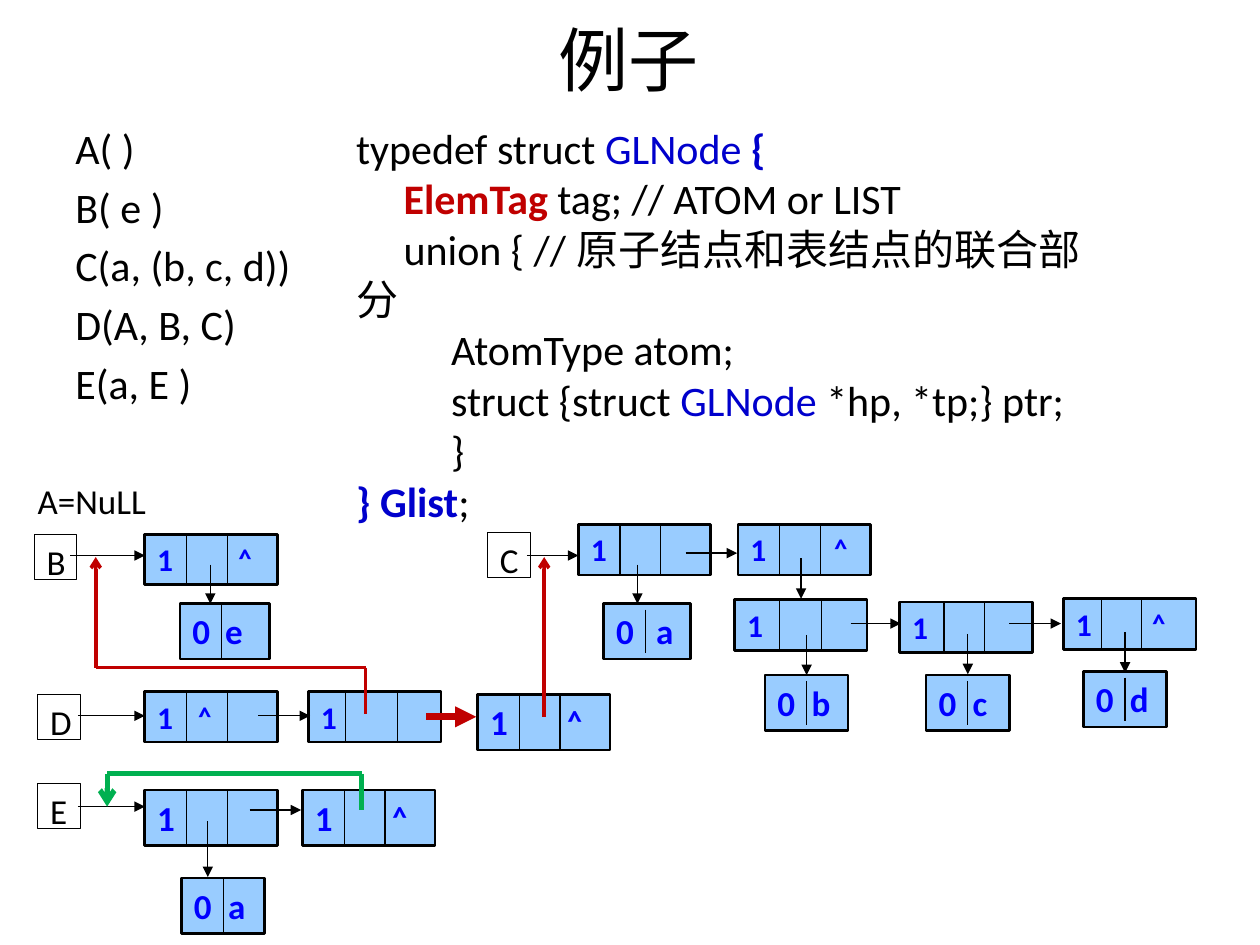
from itertools import pairwise

from lxml import etree
from pptx import Presentation
from pptx.dml.color import RGBColor
from pptx.enum.shapes import MSO_CONNECTOR, MSO_SHAPE
from pptx.enum.text import MSO_ANCHOR, PP_ALIGN
from pptx.oxml.ns import qn
from pptx.util import Cm, Pt

RECTANGLE = MSO_SHAPE.RECTANGLE
STRAIGHT = MSO_CONNECTOR.STRAIGHT
LEFT, CENTER = PP_ALIGN.LEFT, PP_ALIGN.CENTER
TOP, MIDDLE = MSO_ANCHOR.TOP, MSO_ANCHOR.MIDDLE

FONT = "Calibri"
BLACK, BLUE, CODE_BLUE = "000000", "0000FF", "0000CC"
RED, GREEN, NODE_FILL = "C00000", "00B050", "99CCFF"

NODE_WIDTH = 2.67
NODE_HEIGHTS = {18: 1.02, 20: 1.12}
ATOM_HEIGHT = 1.12
DIVIDERS = (0.84, 1.66)

LISTS = ["A( )", "B( e )", "C(a, (b, c, d))", "D(A, B, C)", "E(a, E )"]
CODE = [
    [("typedef struct ", BLACK, False), ("GLNode ", CODE_BLUE, False), ("{", CODE_BLUE, True)],
    [("     ", BLACK, False), ("ElemTag", RED, True), (" tag; // ATOM or LIST", BLACK, False)],
    [("     union { //原子结点和表结点的联合部分", BLACK, False)],
    [("          AtomType atom;", BLACK, False)],
    [("          struct {struct ", BLACK, False), ("GLNode", CODE_BLUE, False),
     (" *hp, *tp;} ptr;", BLACK, False)],
    [("          }", BLACK, False)],
    [("} Glist", CODE_BLUE, True), (";", BLACK, False)],
]

# left, top, text size, tab of the null mark, dividers
NODES = [
    (2.92, 10.77, 18, 1.6, DIVIDERS),
    (2.92, 15.93, 20, None, DIVIDERS),
    (6.1, 15.93, 20, 1.52, DIVIDERS),
    (2.92, 13.94, 18, 0.79, DIVIDERS),
    (6.22, 13.94, 18, None, (0.74, 1.8)),
    (9.63, 14, 20, 1.52, DIVIDERS),
    (11.66, 10.57, 18, None, DIVIDERS),
    (14.88, 10.57, 18, 1.65, DIVIDERS),
    (14.81, 12.09, 18, None, (0.91, 1.75)),
    (18.14, 12.14, 18, None, (0.89, 1.7)),
    (21.44, 12.07, 18, 1.5, (0.76, 1.57)),
]
# letter, left, top, width, tab of the letter, divider margin
ATOMS = [
    ("e", 3.63, 12.17, 1.8, 0.66, 0),
    ("a", 3.66, 17.7, 1.68, 0.69, 0),
    ("a", 12.17, 12.17, 1.75, 0.81, 0.12),
    ("b", 15.42, 13.61, 1.68, 0.69, 0.12),
    ("c", 18.67, 13.61, 1.68, 0.69, 0.12),
    ("d", 21.84, 13.54, 1.68, 0.69, 0.12),
]
LABELS = [("B", 0.69, 10.77), ("C", 9.83, 10.74), ("D", 0.76, 14), ("E", 0.76, 15.8)]
# start x, end x, y
ACROSS = [
    (1.42, 2.92, 11.2), (10.62, 11.66, 11.2), (1.57, 2.92, 14.43),
    (1.57, 2.92, 16.26), (5.03, 6.07, 16.33), (5.21, 6.25, 14.43),
    (13.82, 14.86, 11.15), (17.15, 18.16, 12.57), (20.35, 21.39, 12.57),
]
# x, start y, end y
DOWN = [
    (4.24, 11.38, 12.17), (4.19, 16.56, 17.68), (12.85, 11.38, 12.17),
    (16.15, 11.25, 12.07), (16.26, 12.8, 13.61), (19.51, 12.78, 13.59),
    (22.68, 12.75, 13.56),
]
# colour, line width, points from the arrowhead on
ROUTES = [
    (GREEN, 3, [(2.16, 16.26), (2.16, 15.6), (7.29, 15.6), (7.29, 16.33)]),
    (RED, 2, [(1.93, 11.23), (1.93, 13.46), (7.37, 13.46), (7.37, 14.4)]),
    (RED, 2, [(10.97, 11.23), (10.97, 14.45)]),
]


def rgb(value):
    """Turn a hex string into a colour."""
    return RGBColor.from_string(value)


def add_run(paragraph, text, size, color=BLACK, bold=False):
    """Append one formatted run."""
    run = paragraph.add_run()
    run.text = text
    run.font.name, run.font.size, run.font.bold = FONT, Pt(size), bold
    run.font.color.rgb = rgb(color)


def add_tab(paragraph, position):
    """Give a paragraph a left tab stop."""
    tabs = etree.SubElement(paragraph._p.get_or_add_pPr(), qn("a:tabLst"))
    etree.SubElement(tabs, qn("a:tab"), pos=str(Cm(position)), algn="l")


def add_text(slide, box, lines, size, align=LEFT, anchor=TOP, space=0):
    """Add a text box whose lines are lists of (text, colour, bold) runs."""
    frame = slide.shapes.add_textbox(*map(Cm, box)).text_frame
    frame.word_wrap, frame.vertical_anchor = True, anchor
    for index, line in enumerate(lines):
        paragraph = frame.add_paragraph() if index else frame.paragraphs[0]
        paragraph.alignment = align
        paragraph.space_before = Pt(space if index else 0)
        for text, color, bold in line:
            add_run(paragraph, text, size, color, bold)


def add_box(slide, box, text, size, color=BLUE, fill=NODE_FILL, width=1.5, tab=None):
    """Add an outlined rectangle with text at its top left."""
    shape = slide.shapes.add_shape(RECTANGLE, *map(Cm, box))
    shape.shadow.inherit = False
    if fill:
        shape.fill.solid()
        shape.fill.fore_color.rgb = rgb(fill)
    else:
        shape.fill.background()
    shape.line.color.rgb, shape.line.width = rgb(BLACK), Pt(width)
    frame = shape.text_frame
    frame.word_wrap, frame.vertical_anchor = True, TOP
    paragraph = frame.paragraphs[0]
    paragraph.alignment = LEFT
    if tab:
        add_tab(paragraph, tab)
    add_run(paragraph, text, size, color, bold=bool(fill))


def add_line(slide, start, end, color=BLACK, width=0.75, head=None, tail=None):
    """Add a straight line with optional arrowheads at its start and end."""
    line = slide.shapes.add_connector(STRAIGHT, *map(Cm, (*start, *end)))
    line.line.color.rgb, line.line.width = rgb(color), Pt(width)
    outline = line.line._get_or_add_ln()
    for tag, kind in (("a:headEnd", head), ("a:tailEnd", tail)):
        if kind:
            etree.SubElement(outline, qn(tag), type=kind)
    etree.SubElement(line._element.spPr, qn("a:effectLst"))


def add_node(slide, left, top, size, tab, dividers):
    """Add a list node with three cells."""
    height = NODE_HEIGHTS[size]
    text = "1\t˄" if tab else "1"
    add_box(slide, (left, top, NODE_WIDTH, height), text, size, tab=tab)
    for offset in dividers:
        add_line(slide, (left + offset, top), (left + offset, top + height))


def add_atom(slide, letter, left, top, width, tab, margin):
    """Add an atom node with two cells."""
    add_box(slide, (left, top, width, ATOM_HEIGHT), f"0\t{letter}", 20, tab=tab)
    middle = left + DIVIDERS[0]
    add_line(slide, (middle, top + margin), (middle, top + ATOM_HEIGHT - margin))


def add_route(slide, color, width, points):
    """Add joined lines with an arrowhead at the first point."""
    for index, (start, end) in enumerate(pairwise(points)):
        add_line(slide, start, end, color, width, head=None if index else "arrow")


def main():
    """Build the slide and save it."""
    presentation = Presentation()
    presentation.slide_width, presentation.slide_height = Cm(25.4), Cm(19.05)
    slide = presentation.slides.add_slide(presentation.slide_layouts[6])
    add_text(slide, (1.24, 0, 22.86, 2.34), [[("例子", BLACK, False)]], 40, CENTER, MIDDLE)
    lists = [[(text, BLACK, False)] for text in LISTS]
    add_text(slide, (1.27, 2.34, 11.23, 16.41), lists, 24, space=4.8)
    add_text(slide, (0.51, 9.55, 3.91, 1.12), [[("A=NuLL", BLACK, False)]], 20)
    for node in NODES:
        add_node(slide, *node)
    for atom in ATOMS:
        add_atom(slide, *atom)
    for letter, left, top in LABELS:
        add_box(slide, (left, top, 0.86, 0.91), letter, 20, BLACK, None, 0.75)
    for start, end, y in ACROSS:
        add_line(slide, (start, y), (end, y), tail="triangle")
    for x, start, end in DOWN:
        add_line(slide, (x, start), (x, end), tail="triangle")
    for route in ROUTES:
        add_route(slide, *route)
    add_line(slide, (8.59, 14.45), (9.6, 14.45), RED, 4, tail="triangle")
    add_text(slide, (6.93, 2.34, 15.9, 7.44), CODE, 24)
    presentation.save("out.pptx")


if __name__ == "__main__":
    main()
